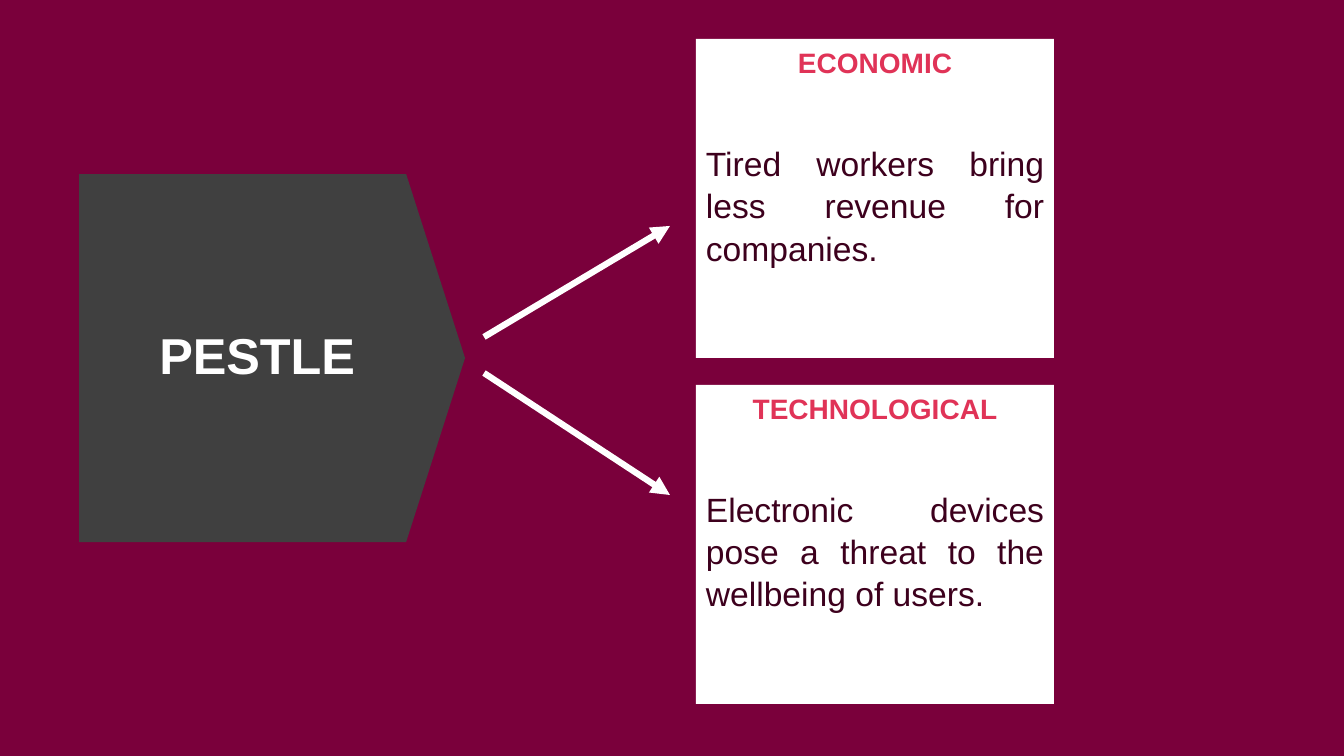
from lxml.etree import SubElement
from pptx import Presentation
from pptx.dml.color import RGBColor
from pptx.enum.shapes import MSO_CONNECTOR, MSO_SHAPE
from pptx.enum.text import MSO_ANCHOR, PP_ALIGN
from pptx.oxml.ns import qn
from pptx.util import Pt

PX = 914400 / 100.8
WHITE = "FFFFFF"
TITLE = {"size": Pt(36), "bold": True}
HEADING = {"size": Pt(20), "bold": True}
BODY = {"size": Pt(24), "bold": False}


def px(n):
    """Turn pixels into EMU."""
    return round(n * PX)


def rgb(value):
    """Turn a hex string into a colour."""
    return RGBColor.from_string(value)


def add_block(s, kind, box, fill, anchor):
    """Add a plain filled shape in the given box."""
    sp = s.shapes.add_shape(kind, *map(px, box))
    sp.shadow.inherit = False
    sp.fill.solid()
    sp.fill.fore_color.rgb = rgb(fill)
    sp.line.fill.background()
    sp.text_frame.word_wrap = True
    sp.text_frame.vertical_anchor = anchor
    return sp


def write(p, text, font, color, **layout):
    """Fill a paragraph with one formatted run."""
    for name, value in layout.items():
        setattr(p, name, value)
    r = p.add_run()
    r.text = text
    for name, value in {"name": "Arial", **font}.items():
        setattr(r.font, name, value)
    r.font.color.rgb = rgb(color)


def add_title(s, box):
    """Add the pointed block that holds the slide title."""
    sp = add_block(s, MSO_SHAPE.PENTAGON, box, "404040", MSO_ANCHOR.MIDDLE)
    sp.adjustments[0] = 0.16
    write(sp.text_frame.paragraphs[0], "PESTLE", TITLE, WHITE,
          alignment=PP_ALIGN.CENTER, line_spacing=0.9)


def add_card(s, box, heading, body):
    """Add a white card with a heading above justified text."""
    tf = add_block(s, MSO_SHAPE.RECTANGLE, box, WHITE, MSO_ANCHOR.TOP).text_frame
    write(tf.paragraphs[0], heading, HEADING, "E03357",
          alignment=PP_ALIGN.CENTER, line_spacing=1.05)
    write(tf.add_paragraph(), body, BODY, "3D001D",
          alignment=PP_ALIGN.JUSTIFY, line_spacing=1.05, space_before=Pt(44))


def add_arrow(s, start, end):
    """Add a thick white arrow between two points."""
    cx = s.shapes.add_connector(MSO_CONNECTOR.STRAIGHT, *map(px, start + end))
    cx.line.color.rgb = rgb(WHITE)
    cx.line.width = Pt(4.5)
    SubElement(cx.line._get_or_add_ln(), qn("a:tailEnd"), type="triangle")
    SubElement(cx._element.spPr, qn("a:effectLst"))


def main():
    """Build and save the slide."""
    prs = Presentation()
    prs.slide_width, prs.slide_height = px(1344), px(756)
    s = prs.slides.add_slide(prs.slide_layouts[6])
    s.background.fill.solid()
    s.background.fill.fore_color.rgb = rgb("7A003B")

    add_title(s, (79, 174, 386, 368))
    cards = [
        ("ECONOMIC", "Tired workers bring less revenue for companies."),
        ("TECHNOLOGICAL", "Electronic devices pose a threat to the wellbeing of users."),
    ]
    for i, (heading, body) in enumerate(cards):
        add_card(s, (696, 39 + i * 346, 358, 319), heading, body)
    add_arrow(s, (484, 337), (670, 226))
    add_arrow(s, (484, 373), (670, 495))
    prs.save("out.pptx")


if __name__ == "__main__":
    main()
